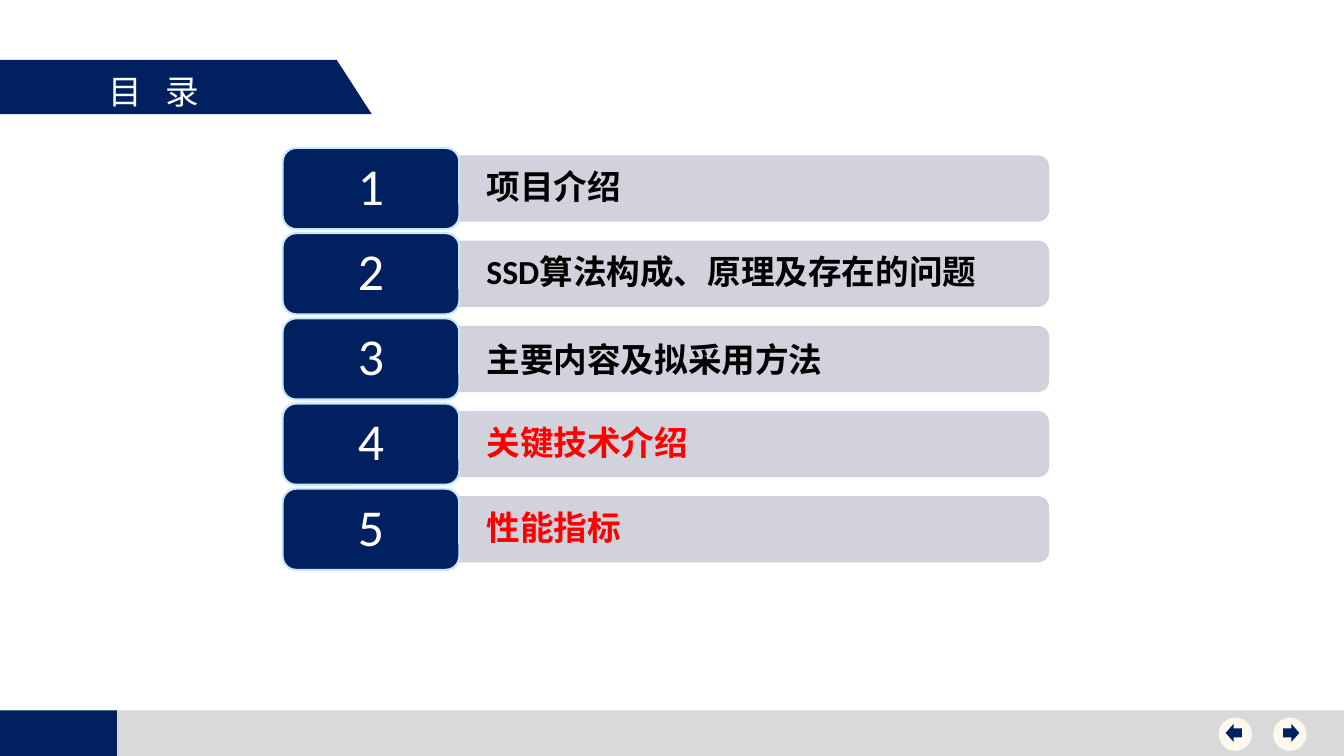
from dataclasses import dataclass
from math import cos, pi, sin

from lxml.etree import SubElement
from pptx import Presentation
from pptx.dml.color import RGBColor
from pptx.enum.shapes import MSO_SHAPE as Shape
from pptx.enum.text import MSO_ANCHOR as Anchor, MSO_AUTO_SIZE as AutoSize, PP_ALIGN as Align
from pptx.oxml.ns import qn
from pptx.util import Pt


@dataclass(frozen=True)
class Theme:
    navy: str = "002060"
    footer: str = "D9D9D9"
    button: str = "FCF8ED"
    bar: str = "CCCED9"
    tile_edge: str = "C6E7FC"
    white: str = "FFFFFF"
    black: str = "000000"
    red: str = "FF0000"
    latin: str = "Calibri"
    chinese: str = "Noto Sans CJK SC"
    text_size: float = 24
    number_size: float = 37


THEME = Theme()

# text, colour, line spacing
CHAPTERS = [
    ("项目介绍", THEME.black, 0.9),
    ("SSD算法构成、原理及存在的问题", THEME.black, 0.9),
    ("主要内容及拟采用方法", THEME.black, 1.0),
    ("关键技术介绍", THEME.red, 0.9),
    ("性能指标", THEME.red, 0.9),
]
FIRST_ROW, ROW_PITCH = 105.7, 60.85
TILE_LEFT, TILE_WIDTH, TILE_HEIGHT = 201.9, 126.2, 58
BAR_WIDTH, BAR_HEIGHT, BAR_RADIUS = 420.8, 46.3, 7.7


def color(value):
    return RGBColor.from_string(value)


def paint(shape, fill, line=None, line_width=1):
    shape.shadow.inherit = False
    shape.fill.solid()
    shape.fill.fore_color.rgb = color(fill)
    if line:
        shape.line.color.rgb = color(line)
        shape.line.width = Pt(line_width)
    else:
        shape.line.fill.background()


def set_opacity(shape, percent):
    """Apply one opacity to the fill and the outline."""
    for tint in shape._element.spPr.iter(qn("a:srgbClr")):
        SubElement(tint, qn("a:alpha")).set("val", str(percent * 1000))


def add_block(page, kind, left, top, width, height, fill, line=None, line_width=1):
    block = page.shapes.add_shape(kind, Pt(left), Pt(top), Pt(width), Pt(height))
    paint(block, fill, line, line_width)
    return block


def write(shape, text, size, text_color, latin, insets, align=Align.LEFT,
          spacing=1.0, bold=False):
    """Fill a shape with one line of text; insets are left, top, right, bottom."""
    frame = shape.text_frame
    frame.word_wrap = True
    frame.auto_size = AutoSize.NONE
    frame.vertical_anchor = Anchor.MIDDLE
    (frame.margin_left, frame.margin_top,
     frame.margin_right, frame.margin_bottom) = map(Pt, insets)
    para = frame.paragraphs[0]
    para.text = text
    para.alignment = align
    para.line_spacing = spacing
    font = para.font
    font.size, font.bold, font.name = Pt(size), bold, latin
    font.color.rgb = color(text_color)
    SubElement(font._rPr, qn("a:ea")).set("typeface", THEME.chinese)
    return para


def add_title(page, text):
    title = page.shapes.title
    title.left, title.top, title.width, title.height = Pt(0), Pt(42.7), Pt(240.6), Pt(38.9)
    paint(title, THEME.navy)
    para = write(title, text, THEME.text_size, THEME.white, THEME.chinese, (77.8, 6, 0, 0))
    para.runs[0]._r.get_or_add_rPr().set("spc", "540")
    add_block(page, Shape.RIGHT_TRIANGLE, 240.6, 42.9, 25, 38.7, THEME.navy)


def add_bar(page, left, top):
    """Draw a bar that is rounded on its right side only."""
    right, bottom = left + BAR_WIDTH, top + BAR_HEIGHT
    corners = [(top + BAR_RADIUS, -pi / 2), (bottom - BAR_RADIUS, 0)]
    outline = [
        (right - BAR_RADIUS + BAR_RADIUS * cos(start + step * pi / 16),
         center + BAR_RADIUS * sin(start + step * pi / 16))
        for center, start in corners for step in range(9)
    ]
    builder = page.shapes.build_freeform(Pt(left), Pt(top))
    builder.add_line_segments([(Pt(x), Pt(y)) for x, y in outline + [(left, bottom)]])
    bar = builder.convert_to_shape()
    paint(bar, THEME.bar, THEME.bar)
    set_opacity(bar, 90)
    return bar


def add_chapter(page, index, text, text_color, spacing):
    top = FIRST_ROW + index * ROW_PITCH
    bar = add_bar(page, TILE_LEFT + TILE_WIDTH, top + (TILE_HEIGHT - BAR_HEIGHT) / 2)
    write(bar, text, THEME.text_size, text_color, THEME.latin,
          (19.4, 12.2, 21.6, 12.2), spacing=spacing, bold=True)
    tile = add_block(page, Shape.ROUNDED_RECTANGLE, TILE_LEFT, top, TILE_WIDTH, TILE_HEIGHT,
                     THEME.navy, THEME.tile_edge, 1.5)
    write(tile, str(index + 1), THEME.number_size, THEME.white, THEME.latin,
          (13.7, 8.6, 13.7, 8.6), Align.CENTER, 0.9)


def add_button(page, left, arrow, arrow_left):
    add_block(page, Shape.OVAL, left, 512.6, 23.8, 23.8, THEME.button)
    add_block(page, arrow, arrow_left, 517, 11.5, 13, THEME.navy)


def main():
    deck = Presentation()
    deck.slide_width, deck.slide_height = Pt(960), Pt(540)
    page = deck.slides.add_slide(deck.slide_layouts[5])
    for width, fill in [(960, THEME.footer), (83.5, THEME.navy)]:
        add_block(page, Shape.RECTANGLE, 0, 507.5, width, 32.5, fill)
    add_title(page, "目 录")
    add_button(page, 909.4, Shape.RIGHT_ARROW, 916.6)
    add_button(page, 870.5, Shape.LEFT_ARROW, 875.5)
    for index, chapter in enumerate(CHAPTERS):
        add_chapter(page, index, *chapter)
    deck.save("out.pptx")


if __name__ == "__main__":
    main()
